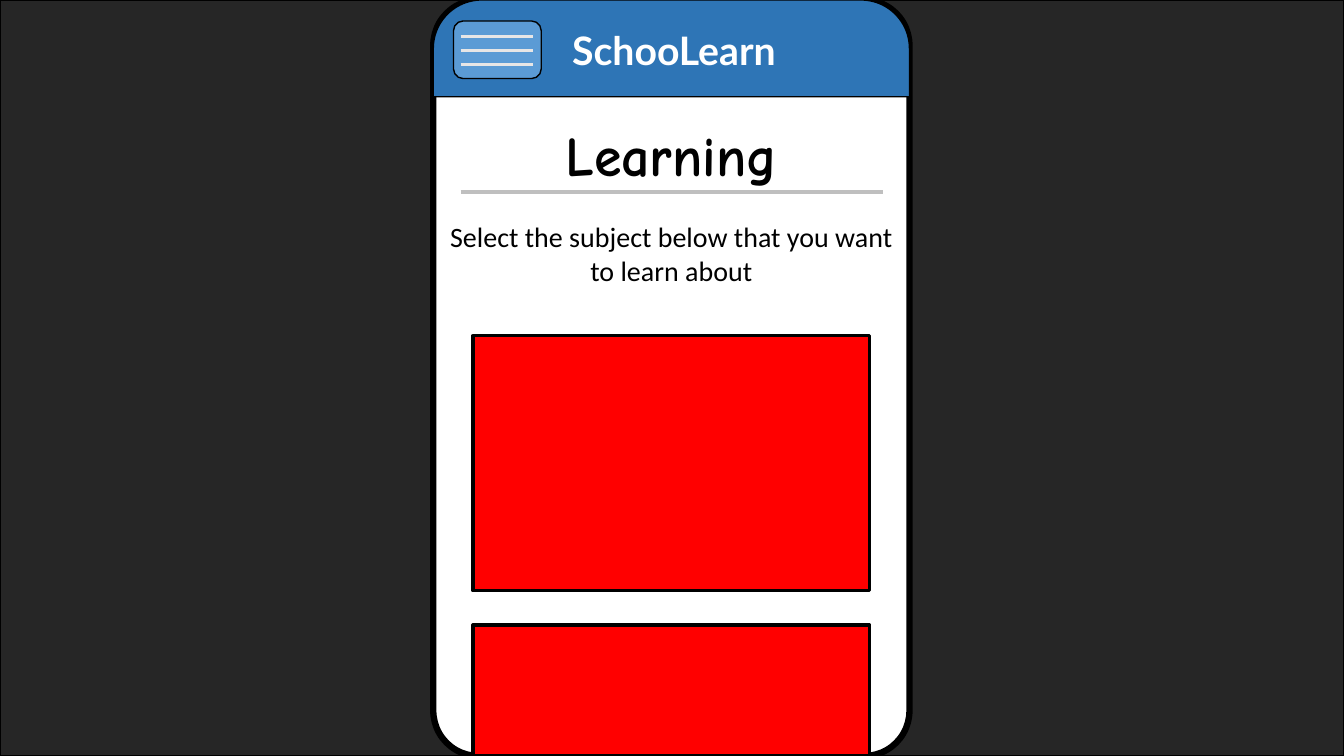
from pptx import Presentation
from pptx.dml.color import RGBColor
from pptx.enum.shapes import MSO_CONNECTOR, MSO_SHAPE
from pptx.enum.text import MSO_ANCHOR, MSO_AUTO_SIZE, PP_ALIGN
from pptx.oxml.ns import qn
from pptx.util import Cm, Pt
from lxml import etree

RECTANGLE = MSO_SHAPE.RECTANGLE
ROUNDED = MSO_SHAPE.ROUNDED_RECTANGLE
ROUNDED_TOP = MSO_SHAPE.ROUND_2_SAME_RECTANGLE
STRAIGHT = MSO_CONNECTOR.STRAIGHT
LEFT, CENTER = PP_ALIGN.LEFT, PP_ALIGN.CENTER
TOP = MSO_ANCHOR.TOP
NO_AUTOFIT = MSO_AUTO_SIZE.NONE

BLACK = RGBColor(0x00, 0x00, 0x00)
WHITE = RGBColor(0xFF, 0xFF, 0xFF)
BACKDROP = RGBColor(0x26, 0x26, 0x26)
HEADER_BLUE = RGBColor(0x2E, 0x75, 0xB6)
BUTTON_BLUE = RGBColor(0x5B, 0x9B, 0xD5)
BAR_GRAY = RGBColor(0xE7, 0xE6, 0xE6)
RULE_GRAY = RGBColor(0xBF, 0xBF, 0xBF)
CARD_RED = RGBColor(0xFF, 0x00, 0x00)

SLIDE_WIDTH, SLIDE_HEIGHT = 33.87, 19.05
PHONE_LEFT, PHONE_WIDTH = 10.92, 12
HEADER_HEIGHT = 2.44


def add_panel(slide, kind, left, top, width, height, fill, line_width=1):
    panel = slide.shapes.add_shape(kind, Cm(left), Cm(top), Cm(width), Cm(height))
    panel.shadow.inherit = False
    panel.fill.solid()
    panel.fill.fore_color.rgb = fill
    panel.line.color.rgb = BLACK
    panel.line.width = Pt(line_width)
    return panel


def add_rule(slide, left, top, width, color, weight):
    rule = slide.shapes.add_connector(
        STRAIGHT, Cm(left), Cm(top), Cm(left + width), Cm(top))
    rule.line.color.rgb = color
    rule.line.width = Pt(weight)
    etree.SubElement(rule._element.spPr, qn("a:effectLst"))


def write(holder, text, font_name, size, color, bold=False, align=CENTER):
    frame = holder.text_frame
    frame.text = text
    frame.word_wrap = True
    frame.auto_size = NO_AUTOFIT
    frame.vertical_anchor = TOP
    paragraph = frame.paragraphs[0]
    paragraph.alignment = align
    paragraph.line_spacing = 1.0
    paragraph.space_before = Pt(0)
    font = paragraph.font
    font.name = font_name
    font.size = Pt(size)
    font.bold = bold
    font.color.rgb = color


def add_menu_button(slide, left, top, width, height):
    add_panel(slide, ROUNDED, left, top, width, height, BUTTON_BLUE)
    for row in range(3):
        add_rule(slide, left + 0.18, top + 0.38 + 0.36 * row,
                 width - 0.38, BAR_GRAY, 2.25)


def add_header(slide, left, top, width, height):
    bar = add_panel(slide, ROUNDED_TOP, left, top, width, height, HEADER_BLUE)
    bar.adjustments[0] = 0.5
    app_name = slide.shapes.add_textbox(
        Cm(left + 3.25), Cm(top + 0.53), Cm(width - 3.25), Cm(1.45))
    write(app_name, "SchooLearn", "Lato", 28, WHITE, bold=True, align=LEFT)
    add_menu_button(slide, left + 0.51, top + 0.53, 2.21, 1.45)


def add_intro(slide, left, top, width):
    """Place the page title, its underline and the prompt."""
    title = slide.shapes.title
    slide.shapes._spTree.append(title._element)  # bring in front of the panels
    title.left, title.top = Cm(left), Cm(top)
    title.width, title.height = Cm(width), Cm(1.96)
    write(title, "Learning", "Comic Neue", 40, BLACK, bold=True)
    add_rule(slide, left + 0.69, top + 1.91, width - 1.36, RULE_GRAY, 3)
    prompt = slide.shapes.add_textbox(
        Cm(left), Cm(top + 2.49), Cm(width), Cm(1.96))
    write(prompt, "Select the subject below that you want to learn about",
          "Calibri", 20, BLACK)


def add_subject_cards(slide, left, top, width, bottom):
    """Stack two cards, cutting the last one off at the bottom edge."""
    card_height, gap = 6.43, 0.86
    for index in range(2):
        card_top = top + index * (card_height + gap)
        add_panel(slide, RECTANGLE, left, card_top, width,
                  min(card_height, bottom - card_top), CARD_RED, 2.25)


def add_phone(slide, left, top, width, height):
    screen = add_panel(slide, ROUNDED, left, top, width, height, WHITE, 4.5)
    screen.adjustments[0] = 0.095
    add_header(slide, left, top, width, HEADER_HEIGHT)
    add_intro(slide, left, top + 2.92, width)
    add_subject_cards(slide, left + 1, top + 8.46, width - 2, top + height)


def main():
    presentation = Presentation()
    presentation.slide_width = Cm(SLIDE_WIDTH)
    presentation.slide_height = Cm(SLIDE_HEIGHT)
    title_only = presentation.slide_layouts[5]
    slide = presentation.slides.add_slide(title_only)
    add_panel(slide, RECTANGLE, 0, 0, SLIDE_WIDTH, SLIDE_HEIGHT, BACKDROP)
    add_phone(slide, PHONE_LEFT, 0, PHONE_WIDTH, SLIDE_HEIGHT)
    presentation.save("out.pptx")


if __name__ == "__main__":
    main()
